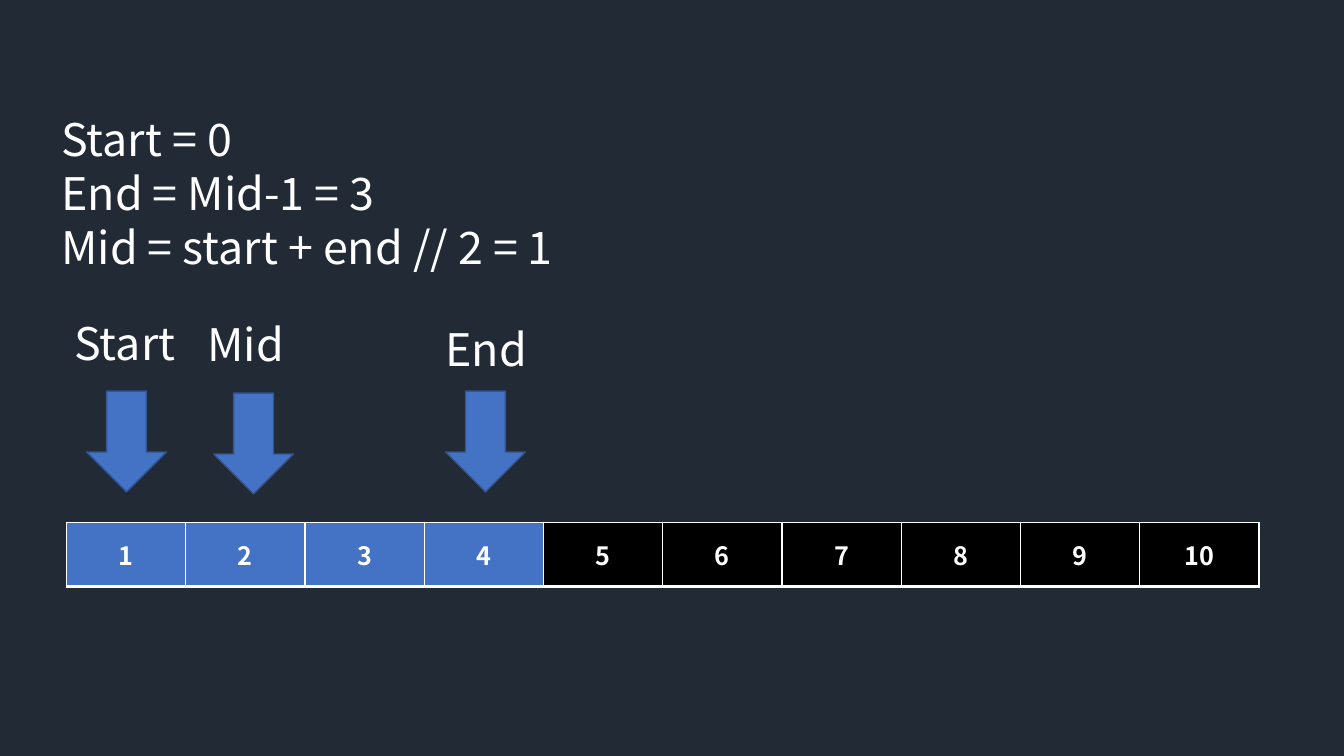
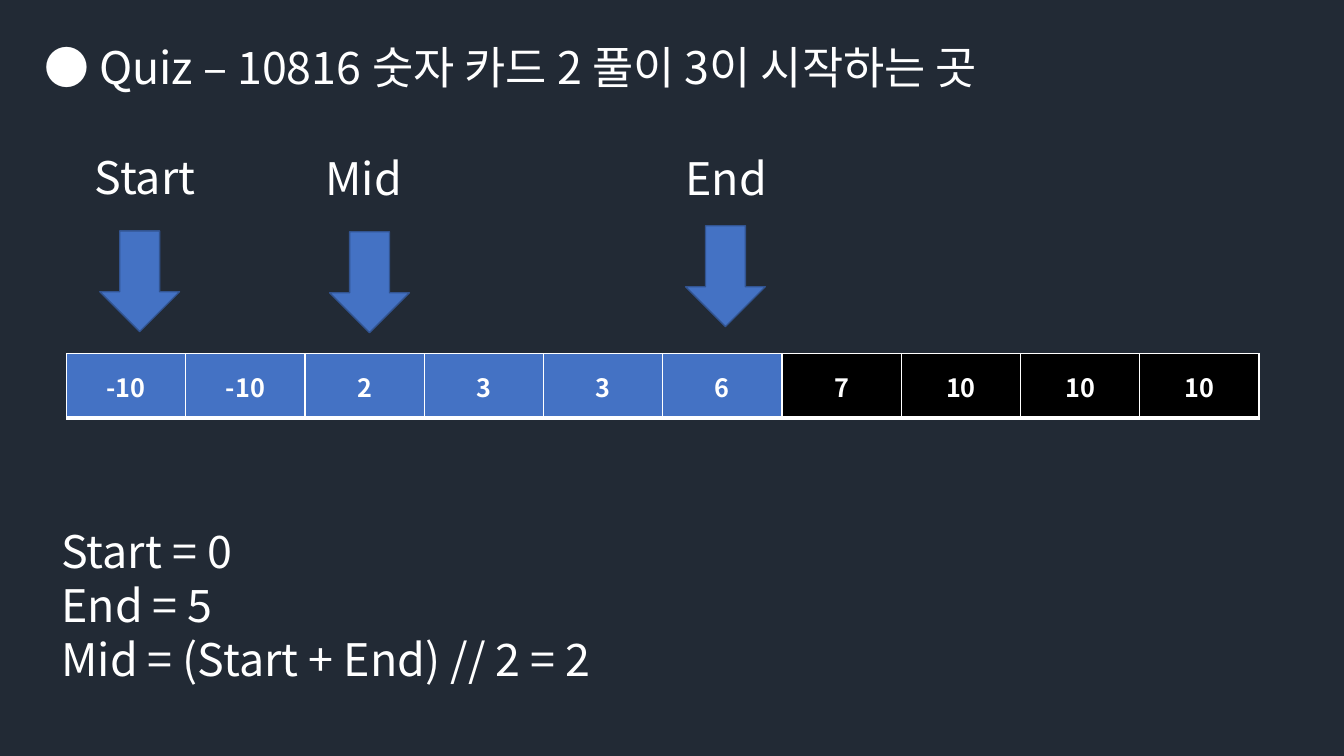
"""Build two slides that trace binary search steps over a row of numbers."""
from lxml import etree
from pptx import Presentation
from pptx.dml.color import RGBColor
from pptx.enum.shapes import MSO_SHAPE
from pptx.enum.text import MSO_ANCHOR, PP_ALIGN
from pptx.oxml.ns import qn
from pptx.util import Inches, Pt

DOWN_ARROW = MSO_SHAPE.DOWN_ARROW
MIDDLE = MSO_ANCHOR.MIDDLE
CENTER = PP_ALIGN.CENTER

BACKGROUND = RGBColor(0x22, 0x2A, 0x35)
WHITE = RGBColor(0xFF, 0xFF, 0xFF)
BLACK = RGBColor(0x00, 0x00, 0x00)
BLUE = RGBColor(0x44, 0x72, 0xC4)
DARK_BLUE = RGBColor(0x32, 0x54, 0x91)
FONT = "Noto Sans CJK KR"

TABLE_LEFT, TABLE_WIDTH, ROW_HEIGHT = 0.66, 11.83, 0.64
LABEL_WIDTH, LABEL_HEIGHT = 1.24, 0.64
ARROW_WIDTH, ARROW_HEIGHT = 0.79, 1
BORDERS = {"a:lnL": 1, "a:lnR": 1, "a:lnT": 1, "a:lnB": 3}

STEPS = [
    {
        "title": None,
        "numbers": [1, 2, 3, 4, 5, 6, 7, 8, 9, 10],
        "active": 4,
        "table_top": 5.18,
        "notes": ["Start = 0", "End = Mid-1 = 3", "Mid = start + end // 2 = 1"],
        "notes_box": (0.51, 1.06, 6.94, 1.72),
        "pointers": [
            ("Start", (0.64, 3.08), (0.86, 3.88)),
            ("Mid", (1.96, 3.09), (2.12, 3.9)),
            ("End", (4.32, 3.14), (4.42, 3.88)),
        ],
    },
    {
        "title": "● Quiz – 10816 숫자 카드 2 풀이 3이 시작하는 곳",
        "numbers": [-10, -10, 2, 3, 3, 6, 7, 10, 10, 10],
        "active": 6,
        "table_top": 3.51,
        "notes": ["Start = 0", "End = 5", "Mid = (Start + End) // 2 = 2"],
        "notes_box": (0.51, 5.15, 11.98, 1.72),
        "pointers": [
            ("Start", (0.84, 1.44), (0.99, 2.29)),
            ("Mid", (3.13, 1.45), (3.27, 2.3)),
            ("End", (6.7, 1.45), (6.8, 2.24)),
        ],
    },
]


def add_run(paragraph, text, size, bold=False):
    run = paragraph.add_run()
    run.text = text
    run.font.size = Pt(size)
    run.font.bold = bold
    run.font.color.rgb = WHITE
    run.font.name = FONT
    east_asian = etree.SubElement(run.font._element, qn("a:ea"))
    east_asian.set("typeface", FONT)


def add_text(slide, lines, left, top, width, height):
    box = slide.shapes.add_textbox(Inches(left), Inches(top), Inches(width), Inches(height))
    frame = box.text_frame
    frame.word_wrap = True
    for index, line in enumerate(lines):
        paragraph = frame.add_paragraph() if index else frame.paragraphs[0]
        add_run(paragraph, line, 32)


presentation = Presentation()
presentation.slide_width = Inches(13.33)
presentation.slide_height = Inches(7.5)
blank_layout = presentation.slide_layouts[6]
master_fill = presentation.slide_master.background.fill
master_fill.solid()
master_fill.fore_color.rgb = BACKGROUND

for step in STEPS:
    slide = presentation.slides.add_slide(blank_layout)
    if step["title"]:
        add_text(slide, [step["title"]], 0.34, 0.34, 10.92, 0.64)

    numbers = step["numbers"]
    table = slide.shapes.add_table(
        1, len(numbers), Inches(TABLE_LEFT), Inches(step["table_top"]),
        Inches(TABLE_WIDTH), Inches(ROW_HEIGHT),
    ).table
    for index, number in enumerate(numbers):
        table.columns[index].width = Inches(TABLE_WIDTH / len(numbers))
        cell = table.cell(0, index)
        cell.vertical_anchor = MIDDLE
        paragraph = cell.text_frame.paragraphs[0]
        paragraph.alignment = CENTER
        add_run(paragraph, str(number), 18, bold=True)
        properties = cell._tc.get_or_add_tcPr()
        for tag, points in BORDERS.items():
            border = etree.SubElement(properties, qn(tag), w=str(Pt(points)))
            border_fill = etree.SubElement(border, qn("a:solidFill"))
            etree.SubElement(border_fill, qn("a:srgbClr"), val=str(WHITE))
        cell.fill.solid()
        cell.fill.fore_color.rgb = BLUE if index < step["active"] else BLACK

    add_text(slide, step["notes"], *step["notes_box"])

    for name, label_position, arrow_position in step["pointers"]:
        add_text(slide, [name], *label_position, LABEL_WIDTH, LABEL_HEIGHT)
        left, top = arrow_position
        arrow = slide.shapes.add_shape(
            DOWN_ARROW, Inches(left), Inches(top), Inches(ARROW_WIDTH), Inches(ARROW_HEIGHT)
        )
        arrow.shadow.inherit = False
        arrow.fill.solid()
        arrow.fill.fore_color.rgb = BLUE
        arrow.line.color.rgb = DARK_BLUE
        arrow.line.width = Pt(1)

presentation.save("out.pptx")
